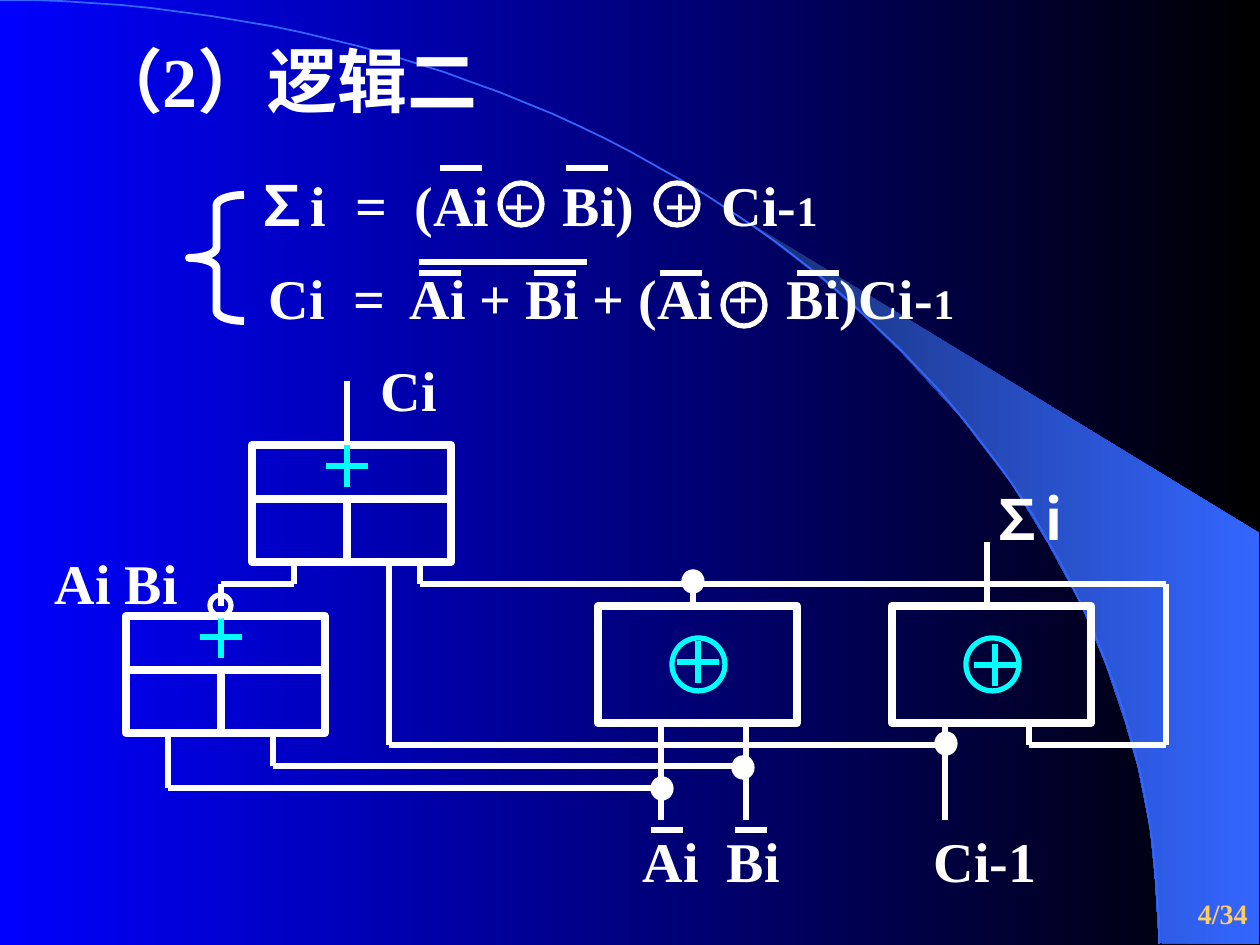
from dataclasses import dataclass
from itertools import pairwise
from math import cos, pi, sin

from lxml import etree
from pptx import Presentation
from pptx.dml.color import RGBColor
from pptx.enum.shapes import MSO_CONNECTOR, MSO_SHAPE
from pptx.enum.text import MSO_ANCHOR, MSO_AUTO_SIZE, PP_ALIGN
from pptx.oxml.ns import qn
from pptx.util import Emu, Pt

STRAIGHT = MSO_CONNECTOR.STRAIGHT
RECTANGLE, OVAL, BRACE = MSO_SHAPE.RECTANGLE, MSO_SHAPE.OVAL, MSO_SHAPE.LEFT_BRACE
TOP, MIDDLE = MSO_ANCHOR.TOP, MSO_ANCHOR.MIDDLE
LEFT, RIGHT = PP_ALIGN.LEFT, PP_ALIGN.RIGHT
NO_AUTOFIT = MSO_AUTO_SIZE.NONE
SERIF, SANS = "Times New Roman", "Noto Sans CJK SC"
WHITE, CYAN, BLUE, GOLD = "FFFFFF", "00FFFF", "3366FF", "FFCC66"
THIN, THICK = 3, 4.5
GATE_WIDTH, GATE_HEIGHT = 199, 117


@dataclass
class Span:
    text: str
    size: int = 32
    font: str = SERIF


@dataclass
class OrGate:
    x: int
    y: int


@dataclass
class XorGate:
    x: int
    y: int
    plus_x: int
    plus_y: int


@dataclass
class Label:
    x: int
    y: int
    width: int
    text: str
    font: str = SERIF


def px(length: float) -> Emu:
    return Emu(round(length * 914400 / 126))


def rgb(color: str) -> RGBColor:
    return RGBColor.from_string(color)


def shade(fill, start: str, end: str) -> None:
    fill.gradient()
    fill.gradient_angle = 0
    for stop, color in zip(fill.gradient_stops, (start, end)):
        stop.color.rgb = rgb(color)


def draw_line(page, x1: int, y1: int, x2: int, y2: int, weight=THIN, color=WHITE) -> None:
    line = page.shapes.add_connector(STRAIGHT, px(x1), px(y1), px(x2), px(y2))
    line.line.width = Pt(weight)
    line.line.color.rgb = rgb(color)
    etree.SubElement(line._element.spPr, qn("a:effectLst"))


def draw_shape(page, kind, x: int, y: int, width: int, height: int,
               weight: float = THIN, color=WHITE, fill=None):
    shape = page.shapes.add_shape(kind, px(x), px(y), px(width), px(height))
    shape.shadow.inherit = False
    shape.line.width = Pt(weight)
    shape.line.color.rgb = rgb(color)
    if fill:
        shape.fill.solid()
        shape.fill.fore_color.rgb = rgb(fill)
    else:
        shape.fill.background()
    return shape


def draw_outline(page, points: list, close: bool):
    builder = page.shapes.build_freeform(*points[0], scale=px(1))
    builder.add_line_segments(points[1:], close=close)
    shape = builder.convert_to_shape()
    shape.shadow.inherit = False
    return shape


def write(box, paragraphs: list, color=WHITE, align=LEFT, anchor=TOP,
          wrap=False, gap=0, left=13, tabs=()) -> None:
    frame = box.text_frame
    frame.word_wrap = wrap
    frame.auto_size = NO_AUTOFIT
    frame.vertical_anchor = anchor
    frame.margin_left = px(left)
    stops = list(tabs) or [()] * len(paragraphs)
    for index, spans in enumerate(paragraphs):
        para = frame.add_paragraph() if index else frame.paragraphs[0]
        para.alignment = align
        if index:
            para.space_before = Pt(gap)
        if stops[index]:
            tab_list = etree.SubElement(para._p.get_or_add_pPr(), qn("a:tabLst"))
            for stop in stops[index]:
                etree.SubElement(tab_list, qn("a:tab"), pos=str(px(stop)), algn="l")
        for span in spans:
            run = para.add_run()
            run.text = span.text
            run.font.size = Pt(span.size)
            run.font.bold = True
            run.font.name = span.font
            run.font.color.rgb = rgb(color)
            if span.font == SANS:
                etree.SubElement(run._r.get_or_add_rPr(), qn("a:ea"), typeface=SANS)


def text_box(page, x: int, y: int, width: int, height: int, paragraphs: list, **layout) -> None:
    box = page.shapes.add_textbox(px(x), px(y), px(width), px(height))
    write(box, paragraphs, **layout)


def draw_plus(page, x: int, y: int) -> None:
    draw_line(page, x - 21, y, x + 21, y, color=CYAN)
    draw_line(page, x, y - 21, x, y + 21, color=CYAN)


def draw_or_gate(page, gate: OrGate) -> None:
    x, y = gate.x, gate.y
    draw_shape(page, RECTANGLE, x, y, GATE_WIDTH, GATE_HEIGHT, THICK)
    draw_line(page, x, y + 54, x + GATE_WIDTH, y + 54, THICK)
    draw_line(page, x + 95, y + 54, x + 95, y + GATE_HEIGHT, THICK)
    draw_plus(page, x + 95, y + 21)


def draw_xor_gate(page, gate: XorGate) -> None:
    draw_shape(page, RECTANGLE, gate.x, gate.y, GATE_WIDTH, GATE_HEIGHT, THICK)
    draw_shape(page, OVAL, gate.x + 74, gate.y + 32, 53, 53, color=CYAN)
    draw_plus(page, gate.plus_x, gate.plus_y)


def draw_backdrop(page) -> None:
    shade(page.background.fill, "0000FF", "000000")
    wedge = draw_outline(page, [
        (1159, 943), (1259, 944), (1259, 533), (742, 218), (786, 251), (823, 280),
        (863, 315), (902, 353), (960, 416), (1012, 484), (1048, 543), (1081, 604),
        (1106, 665), (1125, 721), (1138, 767), (1150, 827), (1155, 877)], close=True)
    shade(wedge.fill, "182F76", BLUE)
    wedge.line.fill.background()
    steps = 60
    angles = [pi / 2 * step / steps for step in range(steps + 1)]
    arc = draw_outline(page, [(round(1159 * sin(a)), round(944 * (1 - cos(a)))) for a in angles],
                       close=False)
    arc.fill.background()
    arc.line.color.rgb = rgb(BLUE)
    arc.line.width = Pt(1)


def draw_formulas(page) -> None:
    text_box(page, 242, 164, 829, 174, [
        [Span("∑", font=SANS), Span("i\t=\t(Ai +\tBi)\t+\tCi-"), Span("1", 24)],
        [Span(" Ci\t=\tAi + Bi + (Ai +\tBi)Ci-"), Span("1", 24)],
    ], gap=15, wrap=True, tabs=[(101, 160, 308, 410, 467), (99, 155, 532)])
    for x, y in ((500, 183), (656, 183), (723, 284)):
        draw_shape(page, OVAL, x, y, 42, 42)
    brace = draw_shape(page, BRACE, 189, 195, 55, 126, THICK)
    brace.adjustments[0] = 0.19


def draw_circuit(page) -> None:
    for gate in (OrGate(252, 445), OrGate(126, 616)):
        draw_or_gate(page, gate)
    for gate in (XorGate(598, 606, 698, 662), XorGate(892, 606, 995, 665)):
        draw_xor_gate(page, gate)
    routes = [
        [(347, 381), (347, 445)],
        [(273, 735), (273, 766), (746, 766)],
        [(168, 735), (168, 788), (661, 788)],
        [(389, 563), (389, 745), (945, 745)],
        [(420, 563), (420, 584), (1166, 584), (1166, 745), (1029, 745), (1029, 723)],
        [(294, 563), (294, 584), (221, 584), (221, 606)],
        [(693, 584), (693, 606)],
        [(987, 542), (987, 606)],
    ] + [[(x, 723), (x, 820)] for x in (661, 746, 945)]
    for route in routes:
        for start, end in pairwise(route):
            draw_line(page, *start, *end)
    draw_shape(page, OVAL, 210, 595, 21, 21)
    for x, y in ((651, 777), (732, 756), (935, 732), (682, 570)):
        draw_shape(page, OVAL, x, y, 22, 23, 0.75, fill=WHITE)
    for label in (Label(368, 349, 95, "Ci"), Label(977, 478, 116, "∑i", SANS),
                  Label(42, 542, 199, "Ai Bi"), Label(630, 820, 84, "Ai"),
                  Label(714, 820, 84, "Bi"), Label(921, 820, 130, "Ci-1")):
        text_box(page, label.x, label.y, label.width, 81, [[Span(label.text, font=label.font)]])


def main() -> None:
    deck = Presentation()
    deck.slide_width, deck.slide_height = px(1260), px(945)
    page = deck.slides.add_slide(deck.slide_layouts[5])
    draw_backdrop(page)
    title = page.shapes.title
    title.left, title.top, title.width, title.height = px(63), px(31), px(1103), px(97)
    write(title, [[Span("（2）逻辑二", 40)]], left=30, wrap=True)
    page.shapes._spTree.append(title._element)
    text_box(page, 948, 882, 312, 63, [[Span("4/34", 16)]],
             color=GOLD, align=RIGHT, anchor=MIDDLE, wrap=True)
    draw_formulas(page)
    for x, y, width in ((440, 168, 42), (566, 168, 42), (419, 273, 42), (534, 273, 42),
                        (660, 273, 42), (797, 273, 42), (419, 262, 168),
                        (651, 830, 32), (735, 830, 32)):
        draw_line(page, x, y, x + width, y)
    draw_circuit(page)
    deck.save("out.pptx")


if __name__ == "__main__":
    main()
